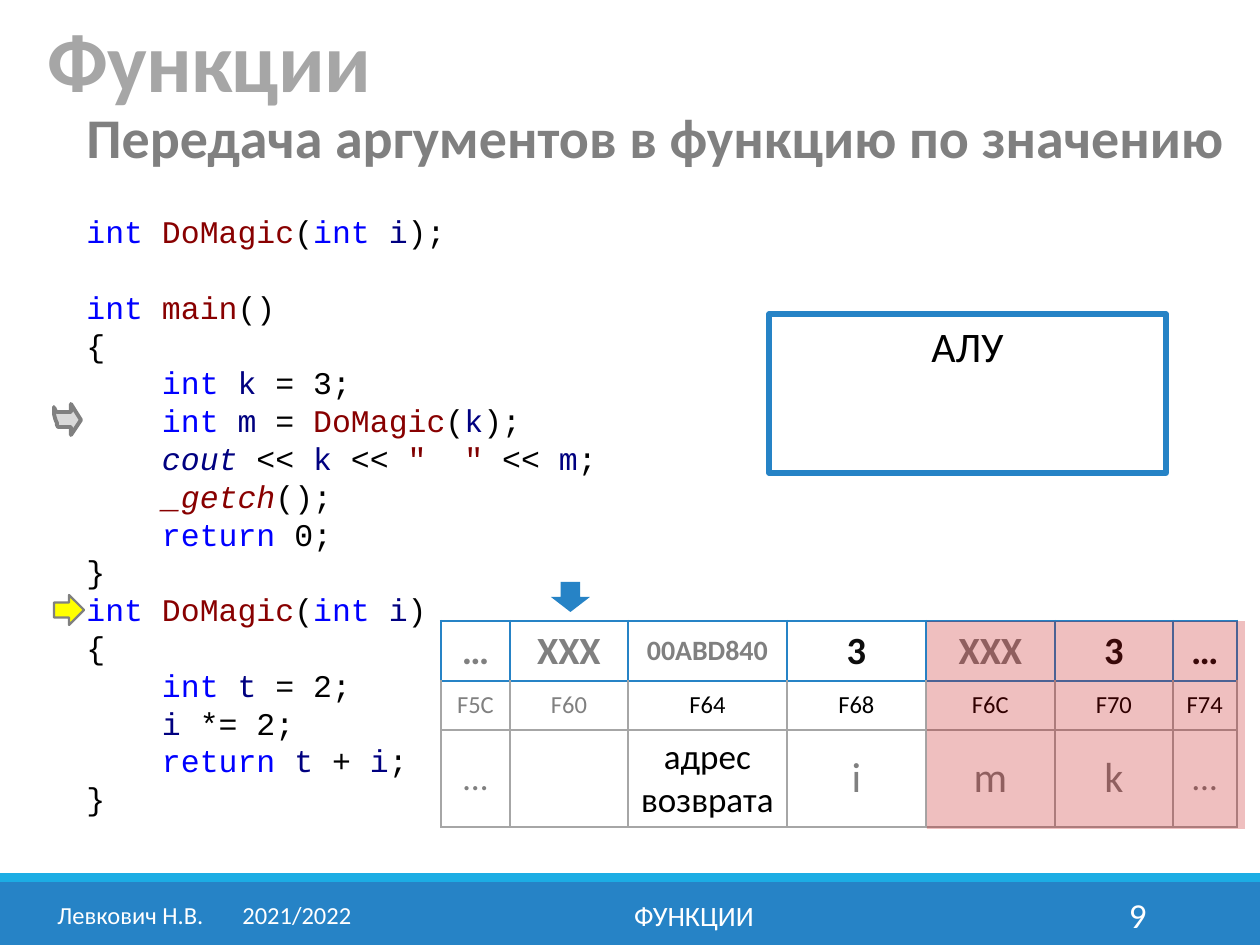
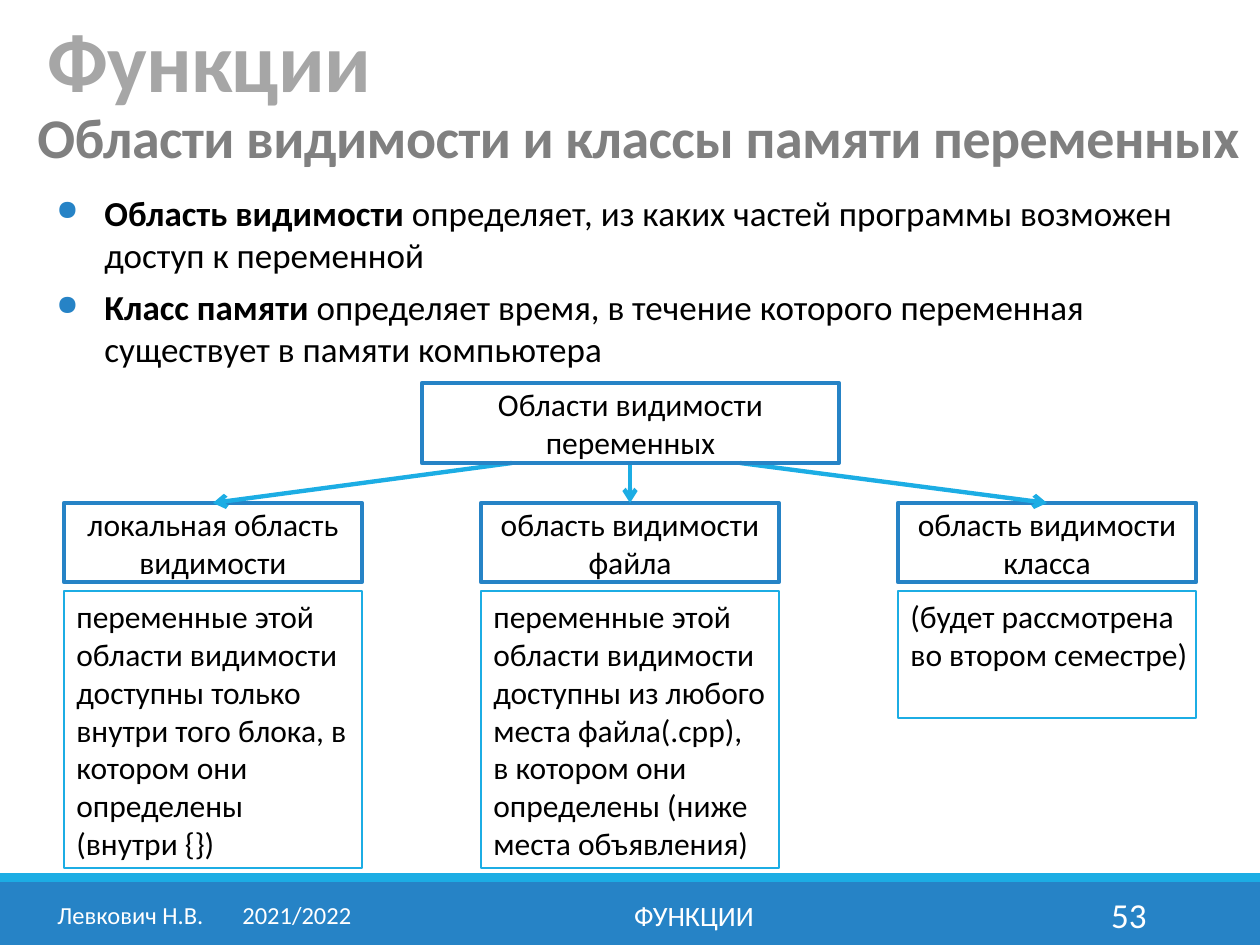
from itertools import groupby

from lxml import etree
from pptx import Presentation
from pptx import util as u
from pptx.dml.color import RGBColor
from pptx.enum import shapes, text
from pptx.oxml.ns import qn

PX = 914400 / 126
SANS, MONO = "Calibri", "Courier New"
BLUE, SKY, YELLOW, RED = "2683C6", "1CADE4", "FFFF00", "C00000"
WHITE, BLACK, INK = "FFFFFF", "000000", "0D0D0D"
PALE, SILVER, GREY = "D9D9D9", "A6A6A6", "808080"
LEFT, CENTER, RIGHT = text.PP_ALIGN.LEFT, text.PP_ALIGN.CENTER, text.PP_ALIGN.RIGHT
TOP, MIDDLE = text.MSO_ANCHOR.TOP, text.MSO_ANCHOR.MIDDLE
SHAPE = shapes.MSO_SHAPE

TITLE = "Функции"
AUTHOR = "Левкович Н.В.\t2021/2022"
TOPIC = "ФУНКЦИИ"

CODE = [
    "int DoMagic(int i);",
    "int main()",
    "{",
    "    int k = 3;",
    "    int m = DoMagic(k);",
    '    cout << k << "  " << m;',
    "    _getch();",
    "    return 0;",
    "}",
    "int DoMagic(int i)",
    "{",
    "    int t = 2;",
    "    i *= 2;",
    "    return t + i;",
    "}",
]
LINE_PITCH = 21.6
GAP_BEFORE = "int main()"
TOKEN_COLOURS = {
    **dict.fromkeys(["int", "return"], "0000FF"),
    **dict.fromkeys(["DoMagic", "main", "_getch"], "880000"),
    **dict.fromkeys(["cout", "i", "k", "m", "t"], "000080"),
}
STRING_COLOUR = "800000"
LIBRARY_NAMES = {"cout", "_getch"}

STACK_COLUMNS = [69, 118, 159, 139, 129, 118, 64]
STACK_ROWS = [
    dict(height=60, size=22, bold=True, border=(BLUE, 1.5), fill=None,
         cells=[("…", GREY), ("XXX", GREY), ("00ABD840", GREY, 16), ("3", INK),
                ("XXX", GREY), ("3", INK), ("…", INK)]),
    dict(height=49, size=14, bold=False, border=(SILVER, 1), fill=WHITE,
         cells=[("F5С", GREY), ("F60", GREY), ("F64", BLACK), ("F68", BLACK),
                ("F6С", BLACK), ("F70", BLACK), ("F74", BLACK)]),
    dict(height=97, size=24, bold=False, border=(SILVER, 1), fill=WHITE,
         cells=[("…", GREY, 20), ("", GREY), ("адрес возврата", BLACK, 20), ("i", GREY),
                ("m", GREY), ("k", GREY), ("…", GREY, 20)]),
]

DEFINITIONS = [
    ("Область видимости", " определяет, из каких частей программы возможен доступ к переменной"),
    ("Класс памяти", " определяет время, в течение которого переменная существует в памяти компьютера"),
]
SCOPES_ROOT = "Области видимости переменных"
SCOPES = [
    dict(name="локальная область видимости", arrow_from=512, note_height=277, inset=13,
         note="переменные этой области видимости доступны только внутри того блока, "
              "в котором они определены\n(внутри {})"),
    dict(name="область видимости файла", arrow_from=630, note_height=277, inset=13,
         note="переменные этой области видимости доступны из любого места файла(.cpp),\n"
              "в котором они определены (ниже места объявления)"),
    dict(name="область видимости класса", arrow_from=740, note_height=127, inset=5,
         note="(будет рассмотрена во втором семестре)"),
]


def px(*lengths):
    return [u.Emu(round(length * PX)) for length in lengths]


def rgb(colour):
    return RGBColor.from_string(colour)


def style(paragraph, size, colour, bold=False, align=LEFT, font=SANS):
    paragraph.alignment = align
    paragraph.font.name = font
    paragraph.font.size = u.Pt(size)
    paragraph.font.bold = bold
    paragraph.font.color.rgb = rgb(colour)


def tighten(paragraph, points):
    for run in paragraph.runs:
        run._r.get_or_add_rPr().set("spc", str(round(points * 100)))


def paint(shape, fill=None, line=None, weight=1.0):
    shape.shadow.inherit = False
    if fill:
        shape.fill.solid()
        shape.fill.fore_color.rgb = rgb(fill)
    else:
        shape.fill.background()
    if line:
        shape.line.color.rgb = rgb(line)
        shape.line.width = u.Pt(weight)
    else:
        shape.line.fill.background()
    return shape


def draw(slide, preset, area, **look):
    return paint(slide.shapes.add_shape(preset, *px(*area)), **look)


def write(shape, words, size, colour=BLACK, bold=False, align=LEFT, anchor=TOP, wrap=True):
    frame = shape.text_frame
    frame.word_wrap = wrap
    frame.vertical_anchor = anchor
    paragraph = frame.paragraphs[0]
    paragraph.text = words
    style(paragraph, size, colour, bold, align)
    return paragraph


def label(slide, area, words, size, colour, **look):
    return write(slide.shapes.add_textbox(*px(*area)), words, size, colour, **look)


def add_tab(paragraph, position):
    stops = etree.SubElement(paragraph._p.get_or_add_pPr(), qn("a:tabLst"))
    etree.SubElement(stops, qn("a:tab"), pos=str(px(position)[0]), algn="l")


def start_slide(deck, number, subtitle, left, width, spacing=0):
    slide = deck.slides.add_slide(deck.slide_layouts[5])
    draw(slide, SHAPE.RECTANGLE, (0, 882, 1260, 63), fill=BLUE)
    draw(slide, SHAPE.RECTANGLE, (0, 873, 1260, 9), fill=SKY)

    title = slide.shapes.title
    title.left, title.top, title.width, title.height = px(35, 0, 1040, 116)
    heading = write(title, TITLE, 48, SILVER, bold=True, anchor=text.MSO_ANCHOR.BOTTOM)
    title.text_frame.auto_size = text.MSO_AUTO_SIZE.NONE
    heading.line_spacing = 0.85
    tighten(heading, -0.5)

    caption = label(slide, (left, 96, width, 81), subtitle, 32, GREY, bold=True, wrap=False)
    tighten(caption, spacing)

    author_box = slide.shapes.add_textbox(*px(40, 890, 329, 50))
    add_tab(author_box.text_frame.paragraphs[0], 185)
    write(author_box, AUTHOR, 14, WHITE, align=CENTER, anchor=MIDDLE)
    label(slide, (381, 890, 626, 50), TOPIC, 16, WHITE, align=CENTER, anchor=MIDDLE)
    label(slide, (1023, 890, 136, 50), str(number), 20, WHITE, align=RIGHT, anchor=MIDDLE)
    return slide


def tokens(line):
    for index, part in enumerate(line.split('"')):
        if index % 2:
            yield f'"{part}"', STRING_COLOUR
            continue
        for _, letters in groupby(part, lambda c: c.isalnum() or c == "_"):
            token = "".join(letters)
            yield token, TOKEN_COLOURS.get(token, BLACK)


def add_code(slide):
    frame = slide.shapes.add_textbox(*px(74, 206, 566, 624)).text_frame
    frame.word_wrap = True
    for index, line in enumerate(CODE):
        paragraph = frame.add_paragraph() if index else frame.paragraphs[0]
        style(paragraph, 18, BLACK, font=MONO)
        paragraph.line_spacing = u.Pt(LINE_PITCH)
        if line == GAP_BEFORE:
            paragraph.space_before = u.Pt(LINE_PITCH)
        for token, colour in tokens(line):
            run = paragraph.add_run()
            run.text = token
            run.font.color.rgb = rgb(colour)
            if token in LIBRARY_NAMES:
                run.font.italic = True


def set_border(cell, colour, weight):
    properties = cell._tc.get_or_add_tcPr()
    for index, side in enumerate(("lnL", "lnR", "lnT", "lnB")):
        edge = etree.Element(qn(f"a:{side}"), w=str(u.Pt(weight)))
        solid = etree.SubElement(edge, qn("a:solidFill"))
        etree.SubElement(solid, qn("a:srgbClr"), val=colour)
        properties.insert(index, edge)


def add_stack(slide):
    height = sum(row["height"] for row in STACK_ROWS)
    area = px(441, 621, sum(STACK_COLUMNS), height)
    table = slide.shapes.add_table(len(STACK_ROWS), len(STACK_COLUMNS), *area).table
    table.first_row = table.horz_banding = False
    for column, width in zip(table.columns, px(*STACK_COLUMNS)):
        column.width = width
    for r, row in enumerate(STACK_ROWS):
        table.rows[r].height = px(row["height"])[0]
        for c, (words, colour, *size) in enumerate(row["cells"]):
            cell = table.cell(r, c)
            cell.vertical_anchor = MIDDLE
            paragraph = cell.text_frame.paragraphs[0]
            paragraph.text = words
            style(paragraph, size[0] if size else row["size"], colour, row["bold"], CENTER)
            if row["fill"]:
                cell.fill.solid()
                cell.fill.fore_color.rgb = rgb(row["fill"])
            else:
                cell.fill.background()
            top_colour, weight = row["border"]
            set_border(cell, top_colour, weight)
            if r == 1:
                edge = cell._tc.tcPr.find(qn("a:lnT"))
                edge.set("w", str(u.Pt(1.5)))
                edge.find(".//" + qn("a:srgbClr")).set("val", BLUE)


def bezier(*controls, steps=8):
    def point(t):
        weights = ((1 - t) ** 3, 3 * t * (1 - t) ** 2, 3 * t * t * (1 - t), t ** 3)
        return tuple(sum(w * p[axis] for w, p in zip(weights, controls)) for axis in (0, 1))
    return [point(step / steps) for step in range(1, steps + 1)]


def add_return_marker(slide):
    outline = [(71, 412), (71, 404), (81, 420), (71, 435), (71, 427), (59, 427)]
    outline += bezier((59, 427), (57, 427), (54, 417), (54, 407))
    outline += bezier((54, 407), (55, 411), (55, 412), (59, 412))
    builder = slide.shapes.build_freeform(59, 412, scale=PX)
    builder.add_line_segments(outline, close=True)
    paint(builder.convert_to_shape(), fill=PALE, line=GREY, weight=2.25)


def build_call_slide(deck):
    slide = start_slide(deck, 9, "Передача аргументов в функцию по значению", 74, 1174)
    add_code(slide)
    add_stack(slide)
    draw(slide, SHAPE.RIGHT_ARROW, (54, 595, 30, 30), fill=YELLOW, line=GREY, weight=1.25)
    draw(slide, SHAPE.DOWN_ARROW, (551, 582, 39, 30), fill=BLUE)
    add_return_marker(slide)
    caller_frame = draw(slide, SHAPE.RECTANGLE, (927, 621, 318, 208), fill=RED)
    tint = caller_frame._element.spPr.find(qn("a:solidFill")).find(qn("a:srgbClr"))
    etree.SubElement(tint, qn("a:alpha"), val="25000")
    alu = draw(slide, SHAPE.RECTANGLE, (769, 314, 397, 159), line=BLUE, weight=3)
    write(alu, "АЛУ", 24, align=CENTER)


def add_bullet(paragraph, indent):
    properties = paragraph._p.get_or_add_pPr()
    properties.set("marL", str(px(indent)[0]))
    properties.set("indent", str(-px(indent)[0]))
    colour = etree.SubElement(properties, qn("a:buClr"))
    etree.SubElement(colour, qn("a:srgbClr"), val=BLUE)
    etree.SubElement(properties, qn("a:buSzPct"), val="80000")
    etree.SubElement(properties, qn("a:buChar"), char="●")


def add_definitions(slide):
    frame = slide.shapes.add_textbox(*px(44, 185, 1191, 193)).text_frame
    frame.word_wrap = True
    for index, (term, meaning) in enumerate(DEFINITIONS):
        paragraph = frame.add_paragraph() if index else frame.paragraphs[0]
        add_bullet(paragraph, 48)
        style(paragraph, 20, BLACK)
        if index:
            paragraph.space_before = u.Pt(6)
        for words, bold in ((term, True), (meaning, False)):
            run = paragraph.add_run()
            run.text = words
            run.font.bold = bold


def add_arrow(slide, *ends):
    arrow = slide.shapes.add_connector(shapes.MSO_CONNECTOR.STRAIGHT, *px(*ends))
    arrow.line.color.rgb = rgb(SKY)
    arrow.line.width = u.Pt(2.5)
    etree.SubElement(arrow.line._get_or_add_ln(), qn("a:tailEnd"), type="arrow")
    etree.SubElement(arrow._element.spPr, qn("a:effectLst"))


def build_scope_slide(deck):
    slide = start_slide(deck, 53, "Области видимости и классы памяти переменных", 25, 1263, -0.3)
    add_definitions(slide)
    width, step = 298, 417
    for index, scope in enumerate(SCOPES):
        left = 64 + index * step
        name = draw(slide, SHAPE.RECTANGLE, (left, 503, width, 79), line=BLUE, weight=2.5)
        write(name, scope["name"], 18, align=CENTER, anchor=MIDDLE)
        add_arrow(slide, scope["arrow_from"], 463, left + width // 2, 503)
        note = draw(slide, SHAPE.RECTANGLE, (left, 591, width, scope["note_height"]),
                    line=SKY, weight=0.75)
        note.text_frame.margin_right = px(scope["inset"])[0]
        write(note, scope["note"], 18)
    root = draw(slide, SHAPE.RECTANGLE, (422, 383, 417, 80), line=BLUE, weight=2.5)
    write(root, SCOPES_ROOT, 18, align=CENTER, anchor=MIDDLE)


def main():
    deck = Presentation()
    deck.slide_width, deck.slide_height = px(1260, 945)
    build_call_slide(deck)
    build_scope_slide(deck)
    deck.save("out.pptx")


if __name__ == "__main__":
    main()
